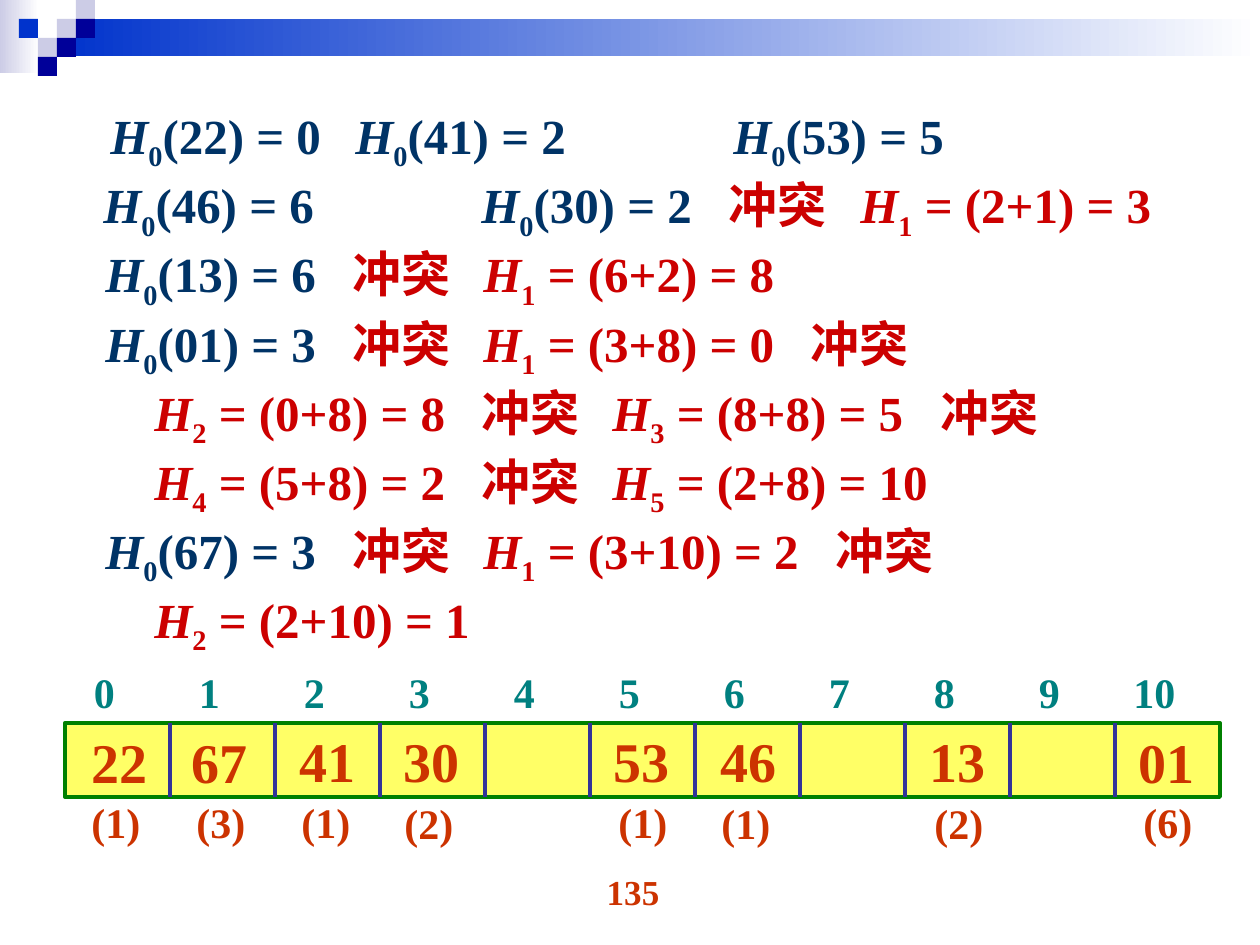
import pptx
import pptx.util
import pptx.dml.color
import pptx.enum.shapes
import pptx.enum.text
import pptx.oxml
from lxml import etree

PX = 914400 // 126
BLUE, RED, RUST, TEAL = "003366", "CC0000", "CC3300", "008080"
LEFT, TOP, CELL, HIGH, COUNT = 65, 723, 105, 74, 11
PAD = 13

# Each piece: where it starts on the line, and its text
LINES = [
    [(111, "H0(22) = 0"), (356, "H0(41) = 2"), (734, "H0(53) = 5")],
    [(104, "H0(46) = 6"), (482, "H0(30) = 2"), (729, "冲突"), (861, "H1 = (2+1) = 3")],
    [(106, "H0(13) = 6"), (353, "冲突"), (484, "H1 = (6+2) = 8")],
    [(106, "H0(01) = 3"), (353, "冲突"), (484, "H1 = (3+8) = 0"), (811, "冲突")],
    [(155, "H2 = (0+8) = 8"), (482, "冲突"), (613, "H3 = (8+8) = 5"), (941, "冲突")],
    [(155, "H4 = (5+8) = 2"), (482, "冲突"), (613, "H5 = (2+8) = 10")],
    [(106, "H0(67) = 3"), (353, "冲突"), (484, "H1 = (3+10) = 2"), (836, "冲突")],
    [(155, "H2 = (2+10) = 1")],
]

# Each key: text, left, top, then its probe count with left, top
KEYS = [
    ("22", 79, 721, "(1)", 79, 790),
    ("67", 179, 721, "(3)", 184, 790),
    ("41", 287, 720, "(1)", 289, 790),
    ("30", 391, 720, "(2)", 392, 791),
    ("53", 601, 720, "(1)", 606, 790),
    ("46", 708, 720, "(1)", 709, 791),
    ("13", 917, 720, "(2)", 922, 791),
    ("01", 1126, 721, "(6)", 1131, 790),
]


def rgb(code):
    return pptx.dml.color.RGBColor.from_string(code)


def write(para, text, size=28, color=BLUE, italic=False, sub=False):
    run = para.add_run()
    run.text = text
    font = run.font
    font.name = "Times New Roman"
    font.size = pptx.util.Pt(size)
    font.bold = True
    font.italic = italic
    font.color.rgb = rgb(color)
    if sub:
        run._r.get_or_add_rPr().set("baseline", "-25000")


def tabs(para, stops, align="l"):
    holder = etree.SubElement(para._p.get_or_add_pPr(), pptx.oxml.ns.qn("a:tabLst"))
    for stop in stops:
        tab = etree.SubElement(holder, pptx.oxml.ns.qn("a:tab"))
        tab.set("pos", str(stop * PX))
        tab.set("algn", align)


class Page:
    def __init__(self, slide):
        self.shapes = slide.shapes

    def rect(self, x, y, w, h, fill, fade=None, line=None):
        kind = pptx.enum.shapes.MSO_SHAPE.RECTANGLE
        box = self.shapes.add_shape(kind, x * PX, y * PX, w * PX, h * PX)
        box.shadow.inherit = False
        if fade:
            box.fill.gradient()
            box.fill.gradient_angle = 0
            for stop, code in zip(box.fill.gradient_stops, (fill, fade)):
                stop.color.rgb = rgb(code)
        else:
            box.fill.solid()
            box.fill.fore_color.rgb = rgb(fill)
        if line:
            box.line.color.rgb = rgb(line)
            box.line.width = pptx.util.Pt(2.25)
        else:
            box.line.fill.background()

    def rule(self, x, top, end):
        kind = pptx.enum.shapes.MSO_CONNECTOR.STRAIGHT
        line = self.shapes.add_connector(kind, x * PX, top * PX, x * PX, end * PX)
        line.line.color.rgb = rgb("333399")
        line.line.width = pptx.util.Pt(2.25)
        etree.SubElement(line._element.spPr, pptx.oxml.ns.qn("a:effectLst"))

    def frame(self, x, y, w, h, wrap=True):
        frame = self.shapes.add_textbox(x * PX, y * PX, w * PX, h * PX).text_frame
        frame.word_wrap = wrap
        if not wrap:
            frame.auto_size = pptx.enum.text.MSO_AUTO_SIZE.SHAPE_TO_FIT_TEXT
        return frame

    def label(self, text, x, y, w, h, size):
        write(self.frame(x, y, w, h, wrap=False).paragraphs[0], text, size=size, color=RUST)

    def proof(self, x, y, w, h, lines):
        frame = self.frame(x, y, w, h)
        for row, pieces in enumerate(lines):
            para = frame.add_paragraph() if row else frame.paragraphs[0]
            tabs(para, [start - x - PAD for start, _ in pieces])
            para.line_spacing = 0.85
            para.space_before = pptx.util.Pt(7 if row else 0)
            for _, text in pieces:
                color = BLUE if text.startswith("H0") else RED
                if text.startswith("H"):
                    write(para, "\tH", color=color, italic=True)
                    write(para, text[1], color=color, sub=True)
                    write(para, text[2:], color=color)
                else:
                    write(para, "\t" + text, color=color)


def main():
    deck = pptx.Presentation()
    deck.slide_width, deck.slide_height = 1260 * PX, 945 * PX
    page = Page(deck.slides.add_slide(deck.slide_layouts[6]))

    # Header bands and squares
    page.rect(0, 0, 39, 73, "CCCCE6", fade="FFFFFF")
    page.rect(57, 19, 1203, 37, "0033CC", fade="FFFFFF")
    pale, navy = "CCCCE6", "000099"
    for col, row, fill in [(3, 1, pale), (4, 0, pale), (4, 1, navy), (2, 2, pale),
                           (1, 1, "0033CC"), (3, 2, navy), (2, 3, navy)]:
        page.rect(19 * col, 19 * row, 19, 19, fill)

    # Page number
    para = page.frame(486, 864, 294, 66).paragraphs[0]
    para.alignment = pptx.enum.text.PP_ALIGN.CENTER
    write(para, "135", size=20, color=RUST)

    # Hash steps
    page.proof(44, 103, 1187, 574, LINES)

    # Hash table with its slot numbers
    page.rect(LEFT, TOP, CELL * COUNT, HIGH, "FFFF66", line="008000")
    for slot in range(1, COUNT):
        page.rule(LEFT + CELL * slot, TOP, TOP + HIGH)
    para = page.frame(62, 660, 1128, 63).paragraphs[0]
    tabs(para, [30 + CELL * slot for slot in range(COUNT)], align="ctr")
    write(para, "".join(f"\t{slot}" for slot in range(COUNT)), size=24, color=TEAL)

    # Keys and probe counts
    for key, x, y, count, left, top in KEYS:
        page.label(key, x, y, 81, 81, 32)
        page.label(count, left, top, 74, 63, 24)

    deck.save("out.pptx")


if __name__ == "__main__":
    main()
